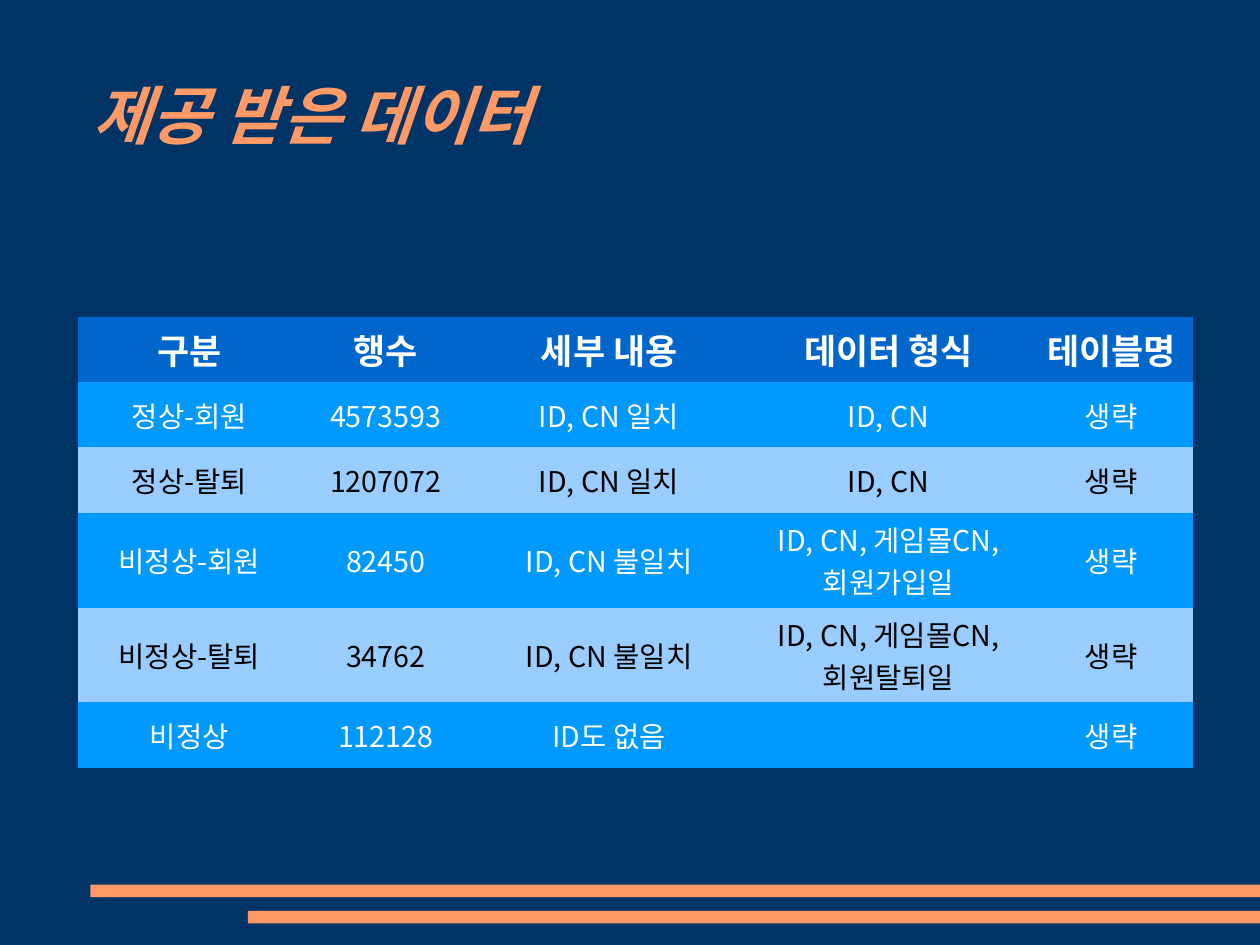
from dataclasses import dataclass

from lxml.etree import SubElement
from pptx import Presentation
from pptx.dml.color import RGBColor
from pptx.dml.fill import FillFormat
from pptx.enum.shapes import MSO_SHAPE
from pptx.enum.text import MSO_ANCHOR, MSO_AUTO_SIZE, PP_ALIGN
from pptx.oxml.ns import qn
from pptx.slide import Slide
from pptx.text.text import TextFrame
from pptx.util import Cm, Pt

FONT = "Noto Sans CJK KR"
NAVY, CORAL = "003366", "FF9966"
WIDE, HIGH = 28, 21
PLAIN = "{2D5ABB26-0587-4C30-8999-92F81FD0307C}"


@dataclass
class Bar:
    """A stripe that runs to the right edge of the slide."""
    left: float
    top: float


@dataclass
class Look:
    """Fill and text style of a table row."""
    fill: str
    ink: str
    size: int = 18
    bold: bool = False


BARS = [Bar(2.01, 19.66), Bar(5.51, 20.24)]
HEAD = Look("0066CC", "FFFFFF", 22, True)
BANDS = [Look("0099FF", "FFFFFF"), Look("99CCFF", "000000")]
COLS = [4.95, 3.78, 6.15, 6.27, 3.63]
ROWS = [1.45, 1.45, 1.45, 2.11, 2.11, 1.45]
DATA = [
    ["구분", "행수", "세부 내용", "데이터 형식", "테이블명"],
    ["정상-회원", "4573593", "ID, CN 일치", "ID, CN", "생략"],
    ["정상-탈퇴", "1207072", "ID, CN 일치", "ID, CN", "생략"],
    ["비정상-회원", "82450", "ID, CN 불일치", "ID, CN, 게임몰CN, 회원가입일", "생략"],
    ["비정상-탈퇴", "34762", "ID, CN 불일치", "ID, CN, 게임몰CN, 회원탈퇴일", "생략"],
    ["비정상", "112128", "ID도 없음", "", "생략"],
]


def paint(fill: FillFormat, color: str) -> None:
    """Set a solid fill from a hex string."""
    fill.solid()
    fill.fore_color.rgb = RGBColor.from_string(color)


def write(frame: TextFrame, text: str, size: int, color: str, bold: bool,
          align: PP_ALIGN, slant: bool = False) -> None:
    """Put one formatted paragraph in a text frame."""
    frame.text = text
    para = frame.paragraphs[0]
    para.alignment = align
    for run in para.runs:
        font = run.font
        font.name, font.size = FONT, Pt(size)
        font.bold, font.italic = bold, slant
        paint(font.fill, color)
        SubElement(font._element, qn("a:ea"), typeface=FONT)


def add_bar(slide: Slide, bar: Bar) -> None:
    """Draw one stripe."""
    shape = slide.shapes.add_shape(
        MSO_SHAPE.RECTANGLE, Cm(bar.left), Cm(bar.top),
        Cm(WIDE - bar.left), Cm(0.28))
    shape.shadow.inherit = False
    paint(shape.fill, CORAL)
    shape.line.fill.background()


def add_title(slide: Slide, text: str) -> None:
    """Place and fill the title."""
    title = slide.shapes.title
    title.left, title.top = Cm(2.06), Cm(0.79)
    title.width, title.height = Cm(23.9), Cm(3.51)
    frame = title.text_frame
    frame.margin_left = frame.margin_right = 0
    frame.margin_top = frame.margin_bottom = 0
    frame.vertical_anchor = MSO_ANCHOR.MIDDLE
    frame.word_wrap = True
    frame.auto_size = MSO_AUTO_SIZE.SHAPE_TO_FIT_TEXT
    write(frame, text, 40, CORAL, True, PP_ALIGN.LEFT, True)


def add_grid(slide: Slide) -> None:
    """Build the table of data sets."""
    frame = slide.shapes.add_table(
        len(ROWS), len(COLS), Cm(1.73), Cm(7.04), Cm(sum(COLS)), Cm(sum(ROWS)))
    table = frame.table
    for style in table._tbl.iter(qn("a:tableStyleId")):
        style.text = PLAIN
    for col, width in zip(table.columns, COLS):
        col.width = Cm(width)
    for num, (row, height) in enumerate(zip(table.rows, ROWS)):
        row.height = Cm(height)
        look = BANDS[(num - 1) % 2] if num else HEAD
        for cell, text in zip(row.cells, DATA[num]):
            paint(cell.fill, look.fill)
            cell.vertical_anchor = MSO_ANCHOR.MIDDLE
            write(cell.text_frame, text, look.size, look.ink, look.bold,
                  PP_ALIGN.CENTER)


def main() -> None:
    """Build the slide and save it."""
    deck = Presentation()
    deck.slide_width, deck.slide_height = Cm(WIDE), Cm(HIGH)
    slide = deck.slides.add_slide(deck.slide_layouts[5])
    paint(slide.background.fill, NAVY)
    for bar in BARS:
        add_bar(slide, bar)
    add_title(slide, "제공 받은 데이터")
    add_grid(slide)
    deck.save("out.pptx")


if __name__ == "__main__":
    main()
